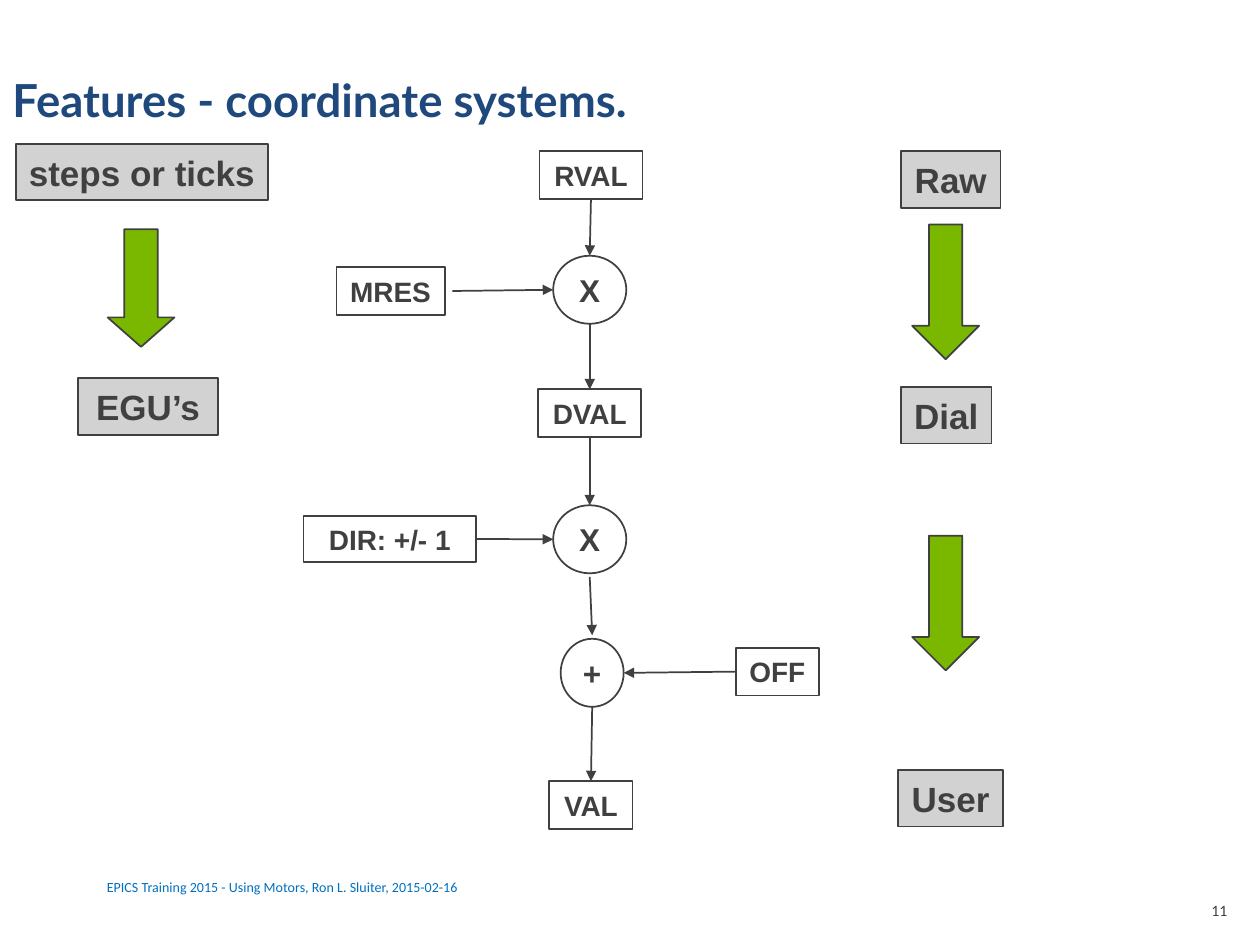
from collections import namedtuple

from lxml import etree
from pptx import Presentation
from pptx.dml.color import RGBColor
from pptx.enum.shapes import MSO_CONNECTOR, MSO_SHAPE
from pptx.enum.text import MSO_ANCHOR, PP_ALIGN
from pptx.oxml.ns import qn
from pptx.util import Pt

RECT, OVAL, DOWN_ARROW = MSO_SHAPE.RECTANGLE, MSO_SHAPE.OVAL, MSO_SHAPE.DOWN_ARROW
STRAIGHT = MSO_CONNECTOR.STRAIGHT
TOP, MIDDLE = MSO_ANCHOR.TOP, MSO_ANCHOR.MIDDLE
LEFT, CENTER, RIGHT = PP_ALIGN.LEFT, PP_ALIGN.CENTER, PP_ALIGN.RIGHT

DARK = RGBColor(0x40, 0x40, 0x40)
GRAY = RGBColor(0xD2, 0xD2, 0xD2)
GREEN = RGBColor(0x7A, 0xB8, 0x00)
NAVY = RGBColor(0x1F, 0x49, 0x7D)
BLUE = RGBColor(0x00, 0x70, 0xC0)

TITLE = {"name": "Lato", "size": Pt(26), "bold": True, "color": NAVY}
FOOTER = {"name": "Calibri", "size": Pt(8), "color": BLUE}
NUMBER = {"name": "Calibri", "size": Pt(9), "color": DARK}
FIELD = {"name": "Arial", "size": Pt(16), "bold": True, "color": DARK}
OPERATOR = {**FIELD, "size": Pt(18)}
STAGE = {**FIELD, "size": Pt(20)}

Box = namedtuple("Box", "left top width height")


def write(shape, text, style, align, anchor):
    frame = shape.text_frame
    frame.vertical_anchor = anchor
    para = frame.paragraphs[0]
    para.alignment = align
    span = para.add_run()
    span.text = text
    for key, value in style.items():
        if key == "color":
            span.font.color.rgb = value
        else:
            setattr(span.font, key, value)


def add_label(page, box, text, style, align=LEFT, anchor=TOP):
    label = page.shapes.add_textbox(*map(Pt, box))
    label.text_frame.word_wrap = True
    write(label, text, style, align, anchor)


def add_outlined(page, kind, box, fill=None):
    """Add a preset shape with a dark outline; no fill leaves it see-through."""
    shape = page.shapes.add_shape(kind, *map(Pt, box))
    shape.shadow.inherit = False
    if fill is None:
        shape.fill.background()
    else:
        shape.fill.solid()
        shape.fill.fore_color.rgb = fill
    shape.line.color.rgb = DARK
    shape.line.width = Pt(1)
    return shape


def add_node(page, kind, box, text, style, fill=None):
    node = add_outlined(page, kind, box, fill)
    node.text_frame.word_wrap = False
    write(node, text, style, CENTER, MIDDLE)


def add_arrow(page, start, end):
    arrow = page.shapes.add_connector(STRAIGHT, *map(Pt, (*start, *end)))
    arrow.line.color.rgb = DARK
    arrow.line.width = Pt(1)
    etree.SubElement(arrow.line._get_or_add_ln(), qn("a:tailEnd"), type="triangle")
    etree.SubElement(arrow._element.spPr, qn("a:effectLst"))


def add_flow(page, area):
    """Draw the record chain downwards, with its inputs from the sides."""
    # text, shape, style, centre x and y within the area, width, height
    chain = [
        ("RVAL", RECT, FIELD, 164.2, 13.7, 59, 27.4),
        ("X", OVAL, OPERATOR, 163.5, 79.2, 41.8, 38.9),
        ("DVAL", RECT, FIELD, 163.5, 149.8, 59, 27.4),
        ("X", OVAL, OPERATOR, 163.5, 221.8, 41.8, 38.9),
        ("+", OVAL, OPERATOR, 164.9, 298.1, 36, 38.9),
        ("VAL", RECT, FIELD, 164.2, 373.7, 47.5, 27.4),
    ]
    inputs = [
        ("MRES", RECT, FIELD, 49.7, 79.9, 61.9, 27.4),
        ("DIR: +/- 1", RECT, FIELD, 49.3, 221.6, 98.6, 26.6),
        ("OFF", RECT, FIELD, 270.7, 297.4, 47.5, 27.4),
    ]

    def place(text, kind, style, x, y, width, height):
        box = Box(area.left + x - width / 2, area.top + y - height / 2, width, height)
        add_node(page, kind, box, text, style)
        return box

    steps = [place(*node) for node in chain]
    sources = [place(*node) for node in inputs]

    for index, (upper, lower) in enumerate(zip(steps, steps[1:])):
        gap = 2 if index == 3 else 0
        add_arrow(page,
                  (upper.left + upper.width / 2, upper.top + upper.height + gap),
                  (lower.left + lower.width / 2, lower.top - gap))

    for source, target, gap in zip(sources, (steps[1], steps[3], steps[4]), (4.4, 0, 0)):
        start_y = source.top + source.height / 2
        end_y = target.top + target.height / 2
        if source.left < target.left:
            start_x, end_x = source.left + source.width + gap, target.left
        else:
            start_x, end_x = source.left - gap, target.left + target.width
        add_arrow(page, (start_x, start_y), (end_x, end_y))


def add_stages(page, area, stages, arrows):
    """Stack gray stage boxes and green arrows on the centre line of the area.

    stages: (text, shift from centre, top, width); arrows: (top, height, head ratio).
    """
    middle = area.left + area.width / 2
    for text, shift, top, width in stages:
        box = Box(middle + shift - width / 2, area.top + top, width, 32.4)
        add_node(page, RECT, box, text, STAGE, GRAY)
    for top, height, head in arrows:
        box = Box(middle - 19.1, area.top + top, 38.2, height)
        arrow = add_outlined(page, DOWN_ARROW, box, GREEN)
        arrow.adjustments[0], arrow.adjustments[1] = 0.5, head


def main():
    deck = Presentation()
    deck.slide_width, deck.slide_height = Pt(720), Pt(540)
    page = deck.slides.add_slide(deck.slide_layouts[6])

    add_label(page, Box(54, 498.2, 540, 17.3),
              "EPICS Training 2015 - Using Motors, Ron L. Sluiter, 2015-02-16",
              FOOTER, anchor=MIDDLE)
    add_label(page, Box(0, 37.4, 690, 36), "Features - coordinate systems.", TITLE)
    add_flow(page, Box(173.5, 86.4, 294.5, 387.4))
    add_stages(page, Box(8.6, 82.1, 144, 166.3),
               [("steps or ticks", 0.5, 0, 144), ("EGU’s", 4, 133.9, 79.9)],
               [(48.9, 67.2, 0.44)])
    add_stages(page, Box(510, 86.4, 60.8, 385.9),
               [("Raw", 2.9, 0, 56.9), ("Dial", 0.3, 134.7, 51.9), ("User", 2.8, 353.5, 59.8)],
               [(41.9, 77, 0.5), (219.7, 77, 0.5)])
    add_label(page, Box(678.2, 511.2, 30.2, 28.8), "11", NUMBER, RIGHT)

    deck.save("out.pptx")


if __name__ == "__main__":
    main()
